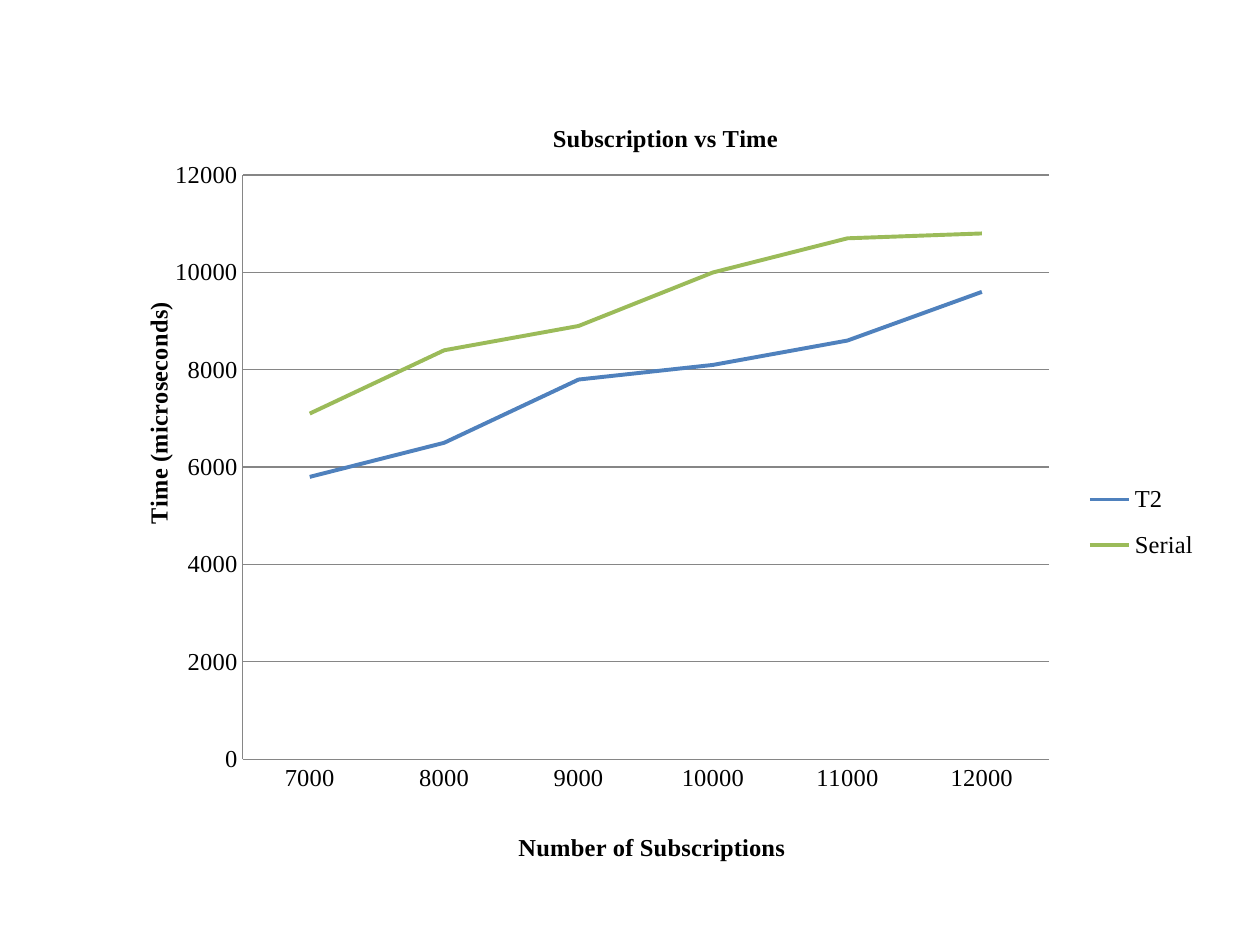
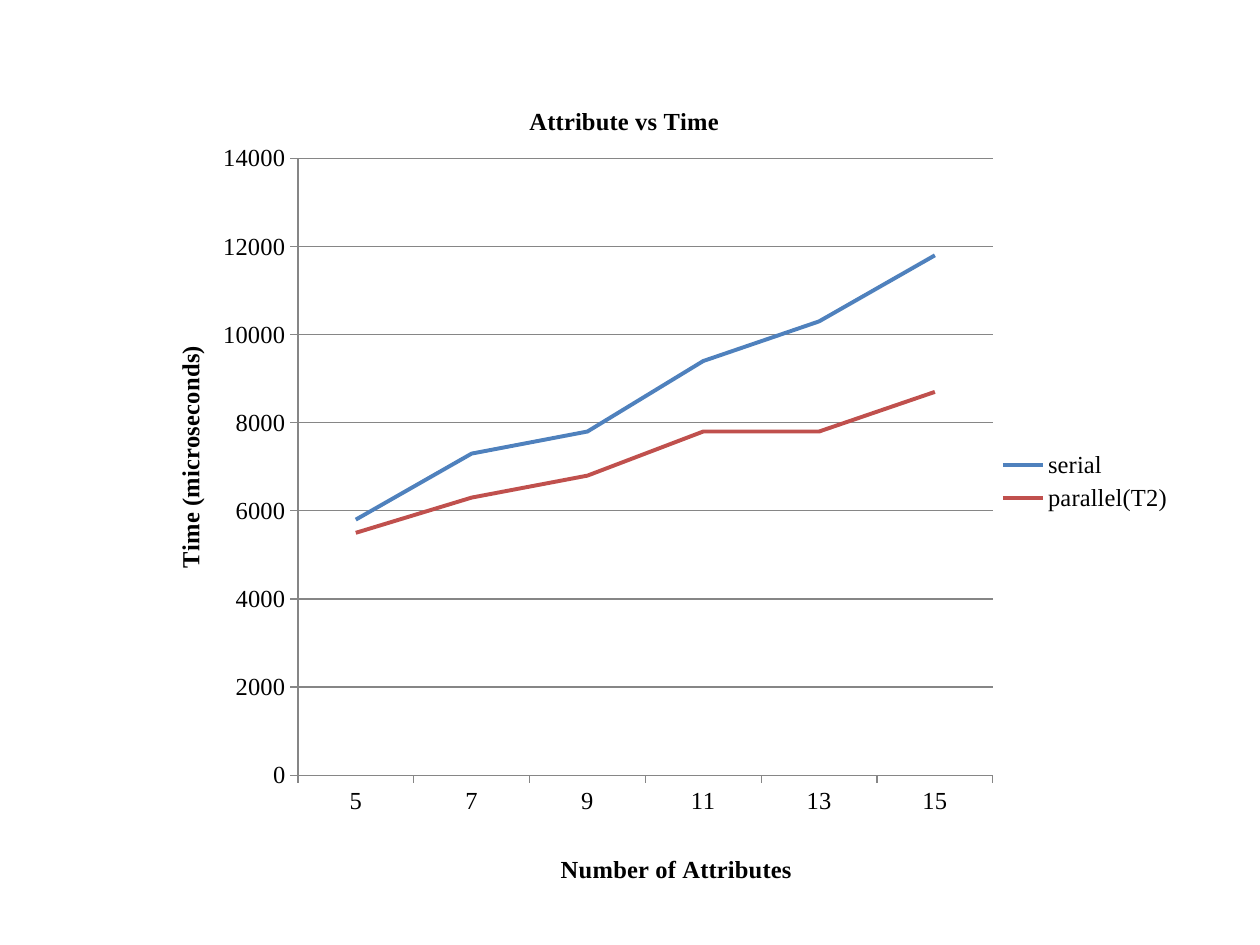
from dataclasses import dataclass

from lxml import etree
from pptx import Presentation
from pptx.chart.data import CategoryChartData
from pptx.dml.color import RGBColor
from pptx.enum.chart import XL_CHART_TYPE, XL_LEGEND_POSITION, XL_TICK_MARK
from pptx.oxml.ns import qn
from pptx.util import Inches, Pt

LINE = XL_CHART_TYPE.LINE
RIGHT = XL_LEGEND_POSITION.RIGHT
NONE, OUT = XL_TICK_MARK.NONE, XL_TICK_MARK.OUTSIDE

# Shared look
WIDE, HIGH = 10, 7.5
FACE, SIZE = "Times New Roman", 14
BLACK, GRAY = "000000", "868686"
BLUE, GREEN, RED = "4F81BD", "9BBB59", "C0504D"
TIME = "Time (microseconds)"


@dataclass
class Series:
    name: str
    vals: tuple[int, ...]
    color: str


@dataclass
class Graph:
    """Box is in shares of the slide; spots are percentages of the chart."""
    box: tuple[float, ...]
    title: str
    label: str
    cats: tuple[str, ...]
    series: tuple[Series, ...]
    top: int
    tick: XL_TICK_MARK
    base: float
    plot: tuple[float, ...]
    head: tuple[float, ...]
    foot: tuple[float, ...]
    side: tuple[float, ...]
    key: tuple[float, ...] = ()


GRAPHS = (
    Graph(
        (0.083, 0.091, 0.883, 0.829), "Subscription vs Time",
        "Number of Subscriptions",
        ("7000", "8000", "9000", "10000", "11000", "12000"),
        (Series("T2", (5800, 6500, 7800, 8100, 8600, 9600), BLUE),
         Series("Serial", (7100, 8400, 8900, 10000, 10700, 10800), GREEN)),
        12000, NONE, 10.5, (12.4, 11.5, 72.5, 75.4),
        (39.9, 4.1), (36.8, 95.7), (3, 27.6), (87.7, 49.3, 11, 14)),
    Graph(
        (0.114, 0.069, 0.827, 0.881), "Attribute vs Time",
        "Number of Attributes",
        ("5", "7", "9", "11", "13", "15"),
        (Series("serial", (5800, 7300, 7800, 9400, 10300, 11800), BLUE),
         Series("parallel(T2)", (5500, 6300, 6800, 7800, 7800, 8700), RED)),
        14000, OUT, 10, (14.8, 11.2, 66.7, 74.1),
        (36.6, 4.3), (39.6, 94.1), (2.5, 33.2)),
)


def paint(hue: str) -> RGBColor:
    return RGBColor.from_string(hue)


def style(font, bold: bool = False, size: float = SIZE, face: str = FACE) -> None:
    font.name, font.size, font.bold = face, Pt(size), bold
    font.color.rgb = paint(BLACK)


def stroke(line, hue: str, width: float) -> None:
    line.color.rgb = paint(hue)
    line.width = Pt(width)


def place(node, spot: tuple[float, ...], inner: bool = False) -> None:
    """Give a chart part a manual layout."""
    for old in node.findall(qn("c:layout")):
        node.remove(old)
    area = etree.Element(qn("c:layout"))
    man = etree.SubElement(area, qn("c:manualLayout"))
    rows = [("layoutTarget", "inner")] if inner else []
    rows += [("xMode", "edge"), ("yMode", "edge")]
    rows += [(tag, str(round(part / 100, 3))) for tag, part in zip("xywh", spot)]
    for tag, val in rows:
        etree.SubElement(man, qn(f"c:{tag}")).set("val", val)
    prior = [kid for kid in node if kid.tag in (qn("c:tx"), qn("c:legendPos"))]
    node.insert(node.index(prior[0]) + 1 if prior else 0, area)


def name(title, text: str, spot: tuple[float, ...]) -> None:
    """Write a bold chart or axis title and move it."""
    run = title.text_frame.paragraphs[0].add_run()
    run.text = text
    style(run.font, True)
    place(title.element, spot)


def draw(slide, graph: Graph) -> None:
    data = CategoryChartData()
    data.categories = graph.cats
    for item in graph.series:
        data.add_series(item.name, item.vals)
    box = [Inches(part * full) for part, full in zip(graph.box, (WIDE, HIGH) * 2)]
    chart = slide.shapes.add_chart(LINE, *box, data).chart
    style(chart.font, size=graph.base, face="Calibri")

    # Axes and titles
    name(chart.chart_title, graph.title, graph.head)
    cat, val = chart.category_axis, chart.value_axis
    name(cat.axis_title, graph.label, graph.foot)
    name(val.axis_title, TIME, graph.side)
    for axis in (cat, val):
        axis.major_tick_mark, axis.minor_tick_mark = graph.tick, NONE
        style(axis.tick_labels.font)
        stroke(axis.format.line, GRAY, 0.75)
    val.minimum_scale, val.maximum_scale, val.major_unit = 0, graph.top, 2000
    val.has_major_gridlines = True
    stroke(val.major_gridlines.format.line, GRAY, 0.75)

    # Lines
    plot = chart.plots[0]
    plot.vary_by_categories = False
    for line, item in zip(plot.series, graph.series):
        line.smooth = False
        stroke(line.format.line, item.color, 2.25)

    # Legend and plot area
    chart.has_legend = True
    chart.legend.position = RIGHT
    chart.legend.include_in_layout = False
    style(chart.legend.font)
    root = chart.element
    place(root.find(".//" + qn("c:plotArea")), graph.plot, True)
    if graph.key:
        place(root.find(".//" + qn("c:legend")), graph.key)


def main() -> None:
    deck = Presentation()
    deck.slide_width, deck.slide_height = Inches(WIDE), Inches(HIGH)
    blank = deck.slide_layouts[6]
    for graph in GRAPHS:
        draw(deck.slides.add_slide(blank), graph)
    deck.save("out.pptx")


if __name__ == "__main__":
    main()
